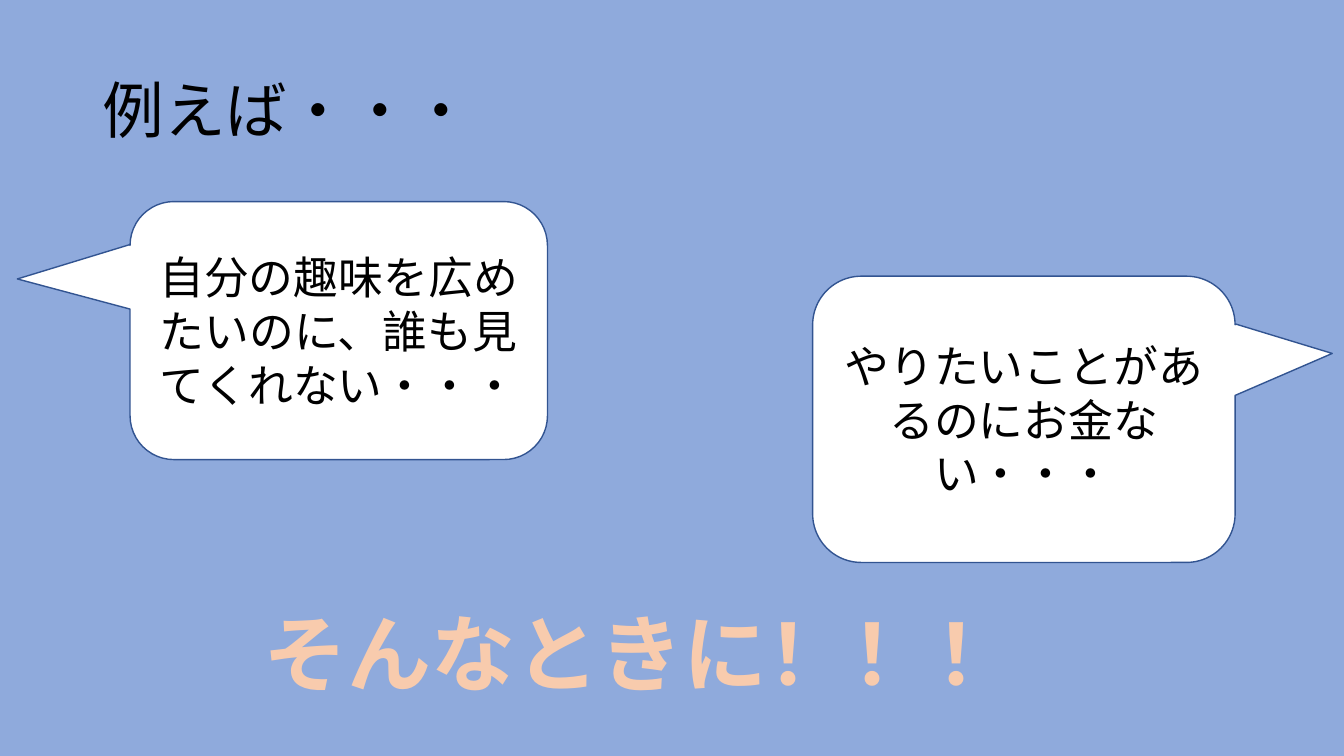
from dataclasses import dataclass

from lxml import etree
from pptx import Presentation
from pptx.dml.color import RGBColor
from pptx.enum.shapes import MSO_SHAPE
from pptx.enum.text import MSO_ANCHOR, PP_ALIGN
from pptx.oxml.ns import qn
from pptx.util import Inches, Pt

CALLOUT = MSO_SHAPE.ROUNDED_RECTANGULAR_CALLOUT
MIDDLE, TOP = MSO_ANCHOR.MIDDLE, MSO_ANCHOR.TOP
LEFT, CENTER = PP_ALIGN.LEFT, PP_ALIGN.CENTER

TITLE = ("例えば・・・", (0.92, 0.4, 11.5, 1.45))
WORRIES = [
    ("自分の趣味を広めたいのに、誰も見てくれない・・・",
     (1.29, 2, 4.14, 2.56), (-0.77, -0.2, 0.17)),
    ("やりたいことがあるのにお金ない・・・",
     (8.06, 2.74, 4.19, 2.84), (0.73, -0.23, 0.17)),
]
PUNCHLINE = ("そんなときに！！！", (2.33, 5.92, 8.07, 1.11))


@dataclass(frozen=True)
class Theme:
    font: str = "Noto Sans CJK JP"
    background: str = "8FAADC"
    ink: str = "000000"
    bubble: str = "FFFFFF"
    bubble_line: str = "325491"
    accent: str = "F8CBAD"
    accent_line: str = "ED7D31"
    title_size: int = 44
    worry_size: int = 32
    punchline_size: int = 60


THEME = Theme()


def color(code):
    return RGBColor.from_string(code)


def write(shape, text, size, ink=THEME.ink, align=CENTER, anchor=MIDDLE, bold=False):
    frame = shape.text_frame
    frame.text = text
    frame.word_wrap = True
    frame.vertical_anchor = anchor
    para = frame.paragraphs[0]
    para.alignment = align
    span = para.runs[0]
    span.font.name = THEME.font
    span.font.size = Pt(size)
    span.font.bold = bold
    span.font.color.rgb = color(ink)
    properties = span.font._element
    etree.SubElement(properties, qn("a:ea"), typeface=THEME.font)
    return para


def add_text(page, text, place, size, **style):
    box = page.shapes.add_textbox(*map(Inches, place))
    return write(box, text, size, **style)


def add_bubble(page, text, place, adjustments):
    bubble = page.shapes.add_shape(CALLOUT, *map(Inches, place))
    for index, value in enumerate(adjustments):
        bubble.adjustments[index] = value
    bubble.shadow.inherit = False
    bubble.fill.solid()
    bubble.fill.fore_color.rgb = color(THEME.bubble)
    bubble.line.color.rgb = color(THEME.bubble_line)
    bubble.line.width = Pt(1)
    write(bubble, text, THEME.worry_size)


def outline_text(span, code, width):
    line = etree.Element(qn("a:ln"), w=str(Pt(width)))
    fill = etree.SubElement(line, qn("a:solidFill"))
    etree.SubElement(fill, qn("a:srgbClr"), val=code)
    span.font._element.insert(0, line)


def main():
    deck = Presentation()
    deck.slide_width, deck.slide_height = Inches(13.33), Inches(7.5)
    page = deck.slides.add_slide(deck.slide_layouts[6])
    page.background.fill.solid()
    page.background.fill.fore_color.rgb = color(THEME.background)

    title = add_text(page, *TITLE, THEME.title_size, align=LEFT)
    title.line_spacing = 0.9
    for worry in WORRIES:
        add_bubble(page, *worry)
    punchline = add_text(page, *PUNCHLINE, THEME.punchline_size,
                         ink=THEME.accent, anchor=TOP, bold=True)
    outline_text(punchline.runs[0], THEME.accent_line, 1.75)
    deck.save("out.pptx")


if __name__ == "__main__":
    main()
